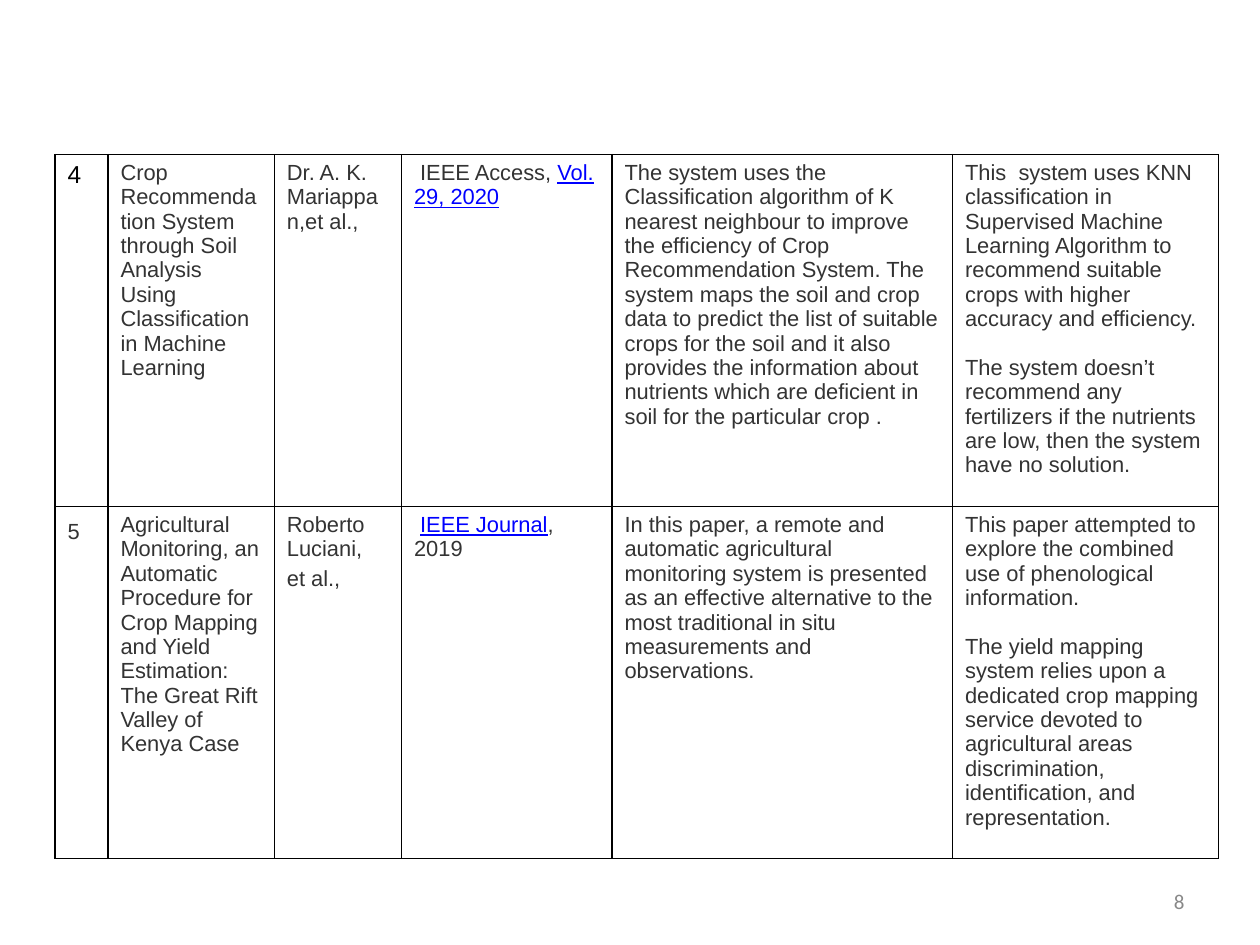
from lxml import etree
from pptx import Presentation
from pptx.dml.color import RGBColor
from pptx.enum import text
from pptx.oxml import ns
from pptx.util import Pt

BLACK = RGBColor(0x00, 0x00, 0x00)
DARK = RGBColor(0x33, 0x33, 0x33)
LINK = RGBColor(0x00, 0x00, 0xFF)
GREY = RGBColor(0x88, 0x88, 0x88)
BODY_SIZE = 12.5
BLANK_LINE = 14


def add_run(paragraph, wording, size=BODY_SIZE, color=DARK, font="Arial", underline=None):
    run = paragraph.add_run()
    run.text = wording
    run.font.name = font
    run.font.size = Pt(size)
    run.font.color.rgb = color
    run.font.underline = underline


def add_borders(cell):
    properties = cell._tc.get_or_add_tcPr()
    for position, side in enumerate(("lnL", "lnR", "lnT", "lnB")):
        line = etree.Element(ns.qn("a:" + side), w=str(Pt(1)))
        fill = etree.SubElement(line, ns.qn("a:solidFill"))
        etree.SubElement(fill, ns.qn("a:srgbClr"), val=str(BLACK))
        properties.insert(position, line)


presentation = Presentation()
presentation.slide_width = Pt(720)
presentation.slide_height = Pt(540)
slide = presentation.slides.add_slide(presentation.slide_layouts[6])

number_box = slide.shapes.add_textbox(Pt(516), Pt(500.5), Pt(168), Pt(28.75))
number_box.text_frame.word_wrap = True
number_box.text_frame.vertical_anchor = text.MSO_ANCHOR.MIDDLE
number_paragraph = number_box.text_frame.paragraphs[0]
number_paragraph.alignment = text.PP_ALIGN.RIGHT
add_run(number_paragraph, "8", 12, GREY, "Calibri")

# Each cell is a list of (space before, runs); linked wording is marked True.
papers = [
    [
        [(0, [("4", False)])],
        [(0, [("Crop Recommendation System through Soil Analysis Using "
               "Classification in Machine Learning", False)])],
        [(0, [("Dr. A. K. Mariappan,et al.,", False)])],
        [(0, [(" IEEE Access, ", False), ("Vol. 29, 2020", True)])],
        [(0, [("The system uses the Classification algorithm of K nearest neighbour to "
               "improve the efficiency of Crop Recommendation System. The system maps the "
               "soil and crop data to predict the list of suitable crops for the soil and "
               "it also provides the information about nutrients which are deficient in "
               "soil for the particular crop .", False)])],
        [(0, [("This  system uses KNN classification in Supervised Machine Learning "
               "Algorithm to recommend suitable", False)]),
         (0, [("crops with higher accuracy and efficiency.", False)]),
         (BLANK_LINE, [("The system doesn’t recommend any fertilizers if the nutrients "
                        "are low, then the system have no solution.", False)])],
    ],
    [
        [(0, [("5", False)])],
        [(0, [("Agricultural Monitoring, an Automatic Procedure for Crop Mapping and "
               "Yield Estimation: The Great Rift Valley of Kenya Case", False)])],
        [(0, [("Roberto Luciani,", False)]), (2.8, [("et al.,", False)])],
        [(0, [(" ", False), ("IEEE Journal", True), (", 2019", False)])],
        [(0, [("In this paper, a remote and automatic agricultural monitoring system is "
               "presented as an effective alternative to the most traditional in situ "
               "measurements and observations.", False)])],
        [(0, [("This paper attempted to explore the combined use of phenological "
               "information.", False)]),
         (BLANK_LINE, [("The yield mapping system relies upon a dedicated crop mapping "
                        "service devoted to agricultural areas discrimination, "
                        "identification, and representation.", False)])],
    ],
]
column_widths = [30.2, 95.1, 72.7, 120.3, 194.6, 152]
row_height = 188.2

table = slide.shapes.add_table(
    len(papers), len(column_widths), Pt(31.5), Pt(88.3),
    Pt(sum(column_widths)), Pt(row_height * len(papers))).table
table.first_row = False
table.horz_banding = False
for column, width in zip(table.columns, column_widths):
    column.width = Pt(width)

for row_index, paper in enumerate(papers):
    table.rows[row_index].height = Pt(row_height)
    for column_index, paragraphs in enumerate(paper):
        cell = table.cell(row_index, column_index)
        cell.fill.background()
        add_borders(cell)
        for index, (space, runs) in enumerate(paragraphs):
            frame = cell.text_frame
            paragraph = frame.add_paragraph() if index else frame.paragraphs[0]
            if space:
                paragraph.space_before = Pt(space)
            for wording, linked in runs:
                if wording == "4":
                    add_run(paragraph, wording, 14, BLACK)
                elif linked:
                    add_run(paragraph, wording, color=LINK, underline=True)
                else:
                    add_run(paragraph, wording)

table.cell(1, 0).text_frame.paragraphs[0].line_spacing = 1.3

presentation.save("out.pptx")
